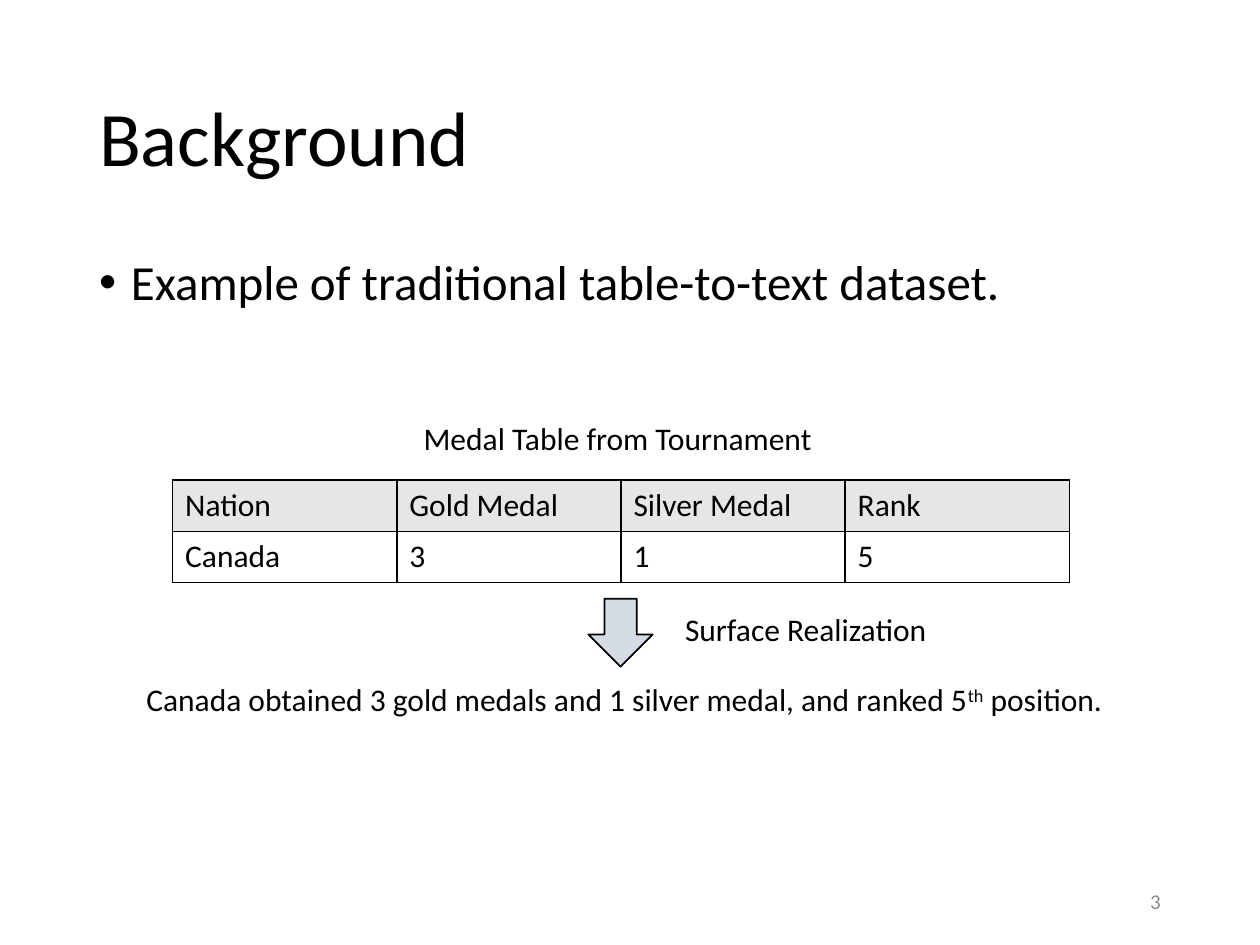
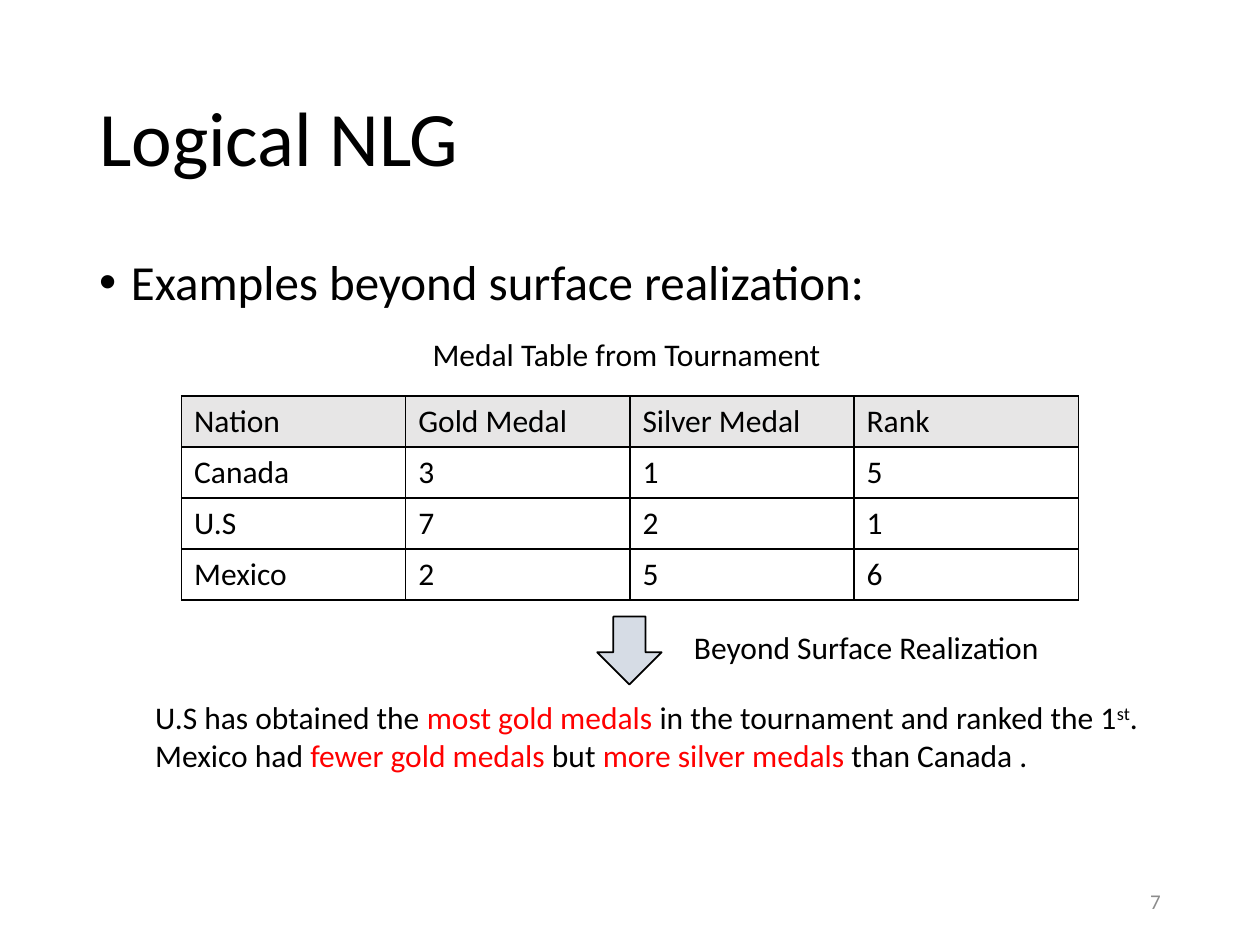
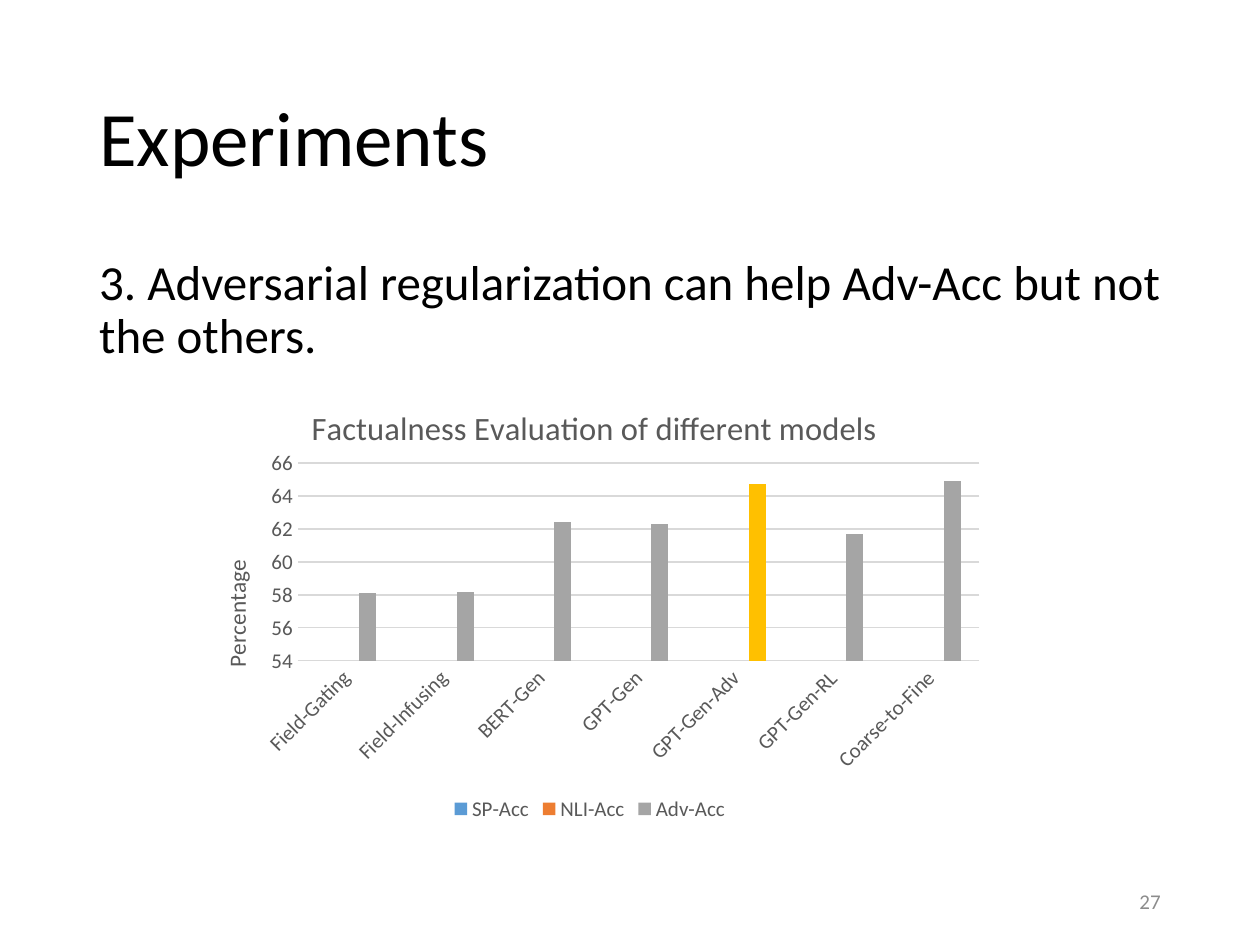
from pptx import Presentation
from pptx.chart.data import CategoryChartData
from pptx.dml.color import RGBColor
from pptx.enum.chart import XL_CHART_TYPE, XL_LEGEND_POSITION, XL_TICK_MARK
from pptx.enum.shapes import MSO_SHAPE
from pptx.enum.text import MSO_ANCHOR, MSO_AUTO_SIZE, PP_ALIGN
from pptx.oxml import parse_xml
from pptx.oxml.ns import nsdecls
from pptx.util import Cm, Pt

BLACK = RGBColor(0x00, 0x00, 0x00)
RED = RGBColor(0xFF, 0x00, 0x00)
PALE = RGBColor(0xE7, 0xE6, 0xE6)
STEEL = RGBColor(0xD6, 0xDC, 0xE5)
MUTED = RGBColor(0x8C, 0x8C, 0x8C)
SLATE = RGBColor(0x59, 0x59, 0x59)
RULE = RGBColor(0xD9, 0xD9, 0xD9)
BLUE = RGBColor(0x5B, 0x9B, 0xD5)
ORANGE = RGBColor(0xED, 0x7D, 0x31)
GREY = RGBColor(0xA5, 0xA5, 0xA5)
GOLD = RGBColor(0xFF, 0xC0, 0x00)

PLAIN = {"name": "Calibri", "size": Pt(18), "bold": False, "color": BLACK}
TITLE = PLAIN | {"size": Pt(44)}
BODY = PLAIN | {"size": Pt(28)}
NUMBER = PLAIN | {"size": Pt(12), "color": MUTED}
LABEL = PLAIN | {"size": Pt(12), "color": SLATE}
HOT = {"color": RED}
RAISED = {"raised": True}

COL, ROW = 4.52, 1.03
HEAD = ("Nation", "Gold Medal", "Silver Medal", "Rank")
CANADA = ("Canada", 3, 1, 5)
MODELS = ("Field-Gating", "Field-Infusing", "BERT-Gen", "GPT-Gen",
          "GPT-Gen-Adv", "GPT-Gen-RL", "Coarse-to-Fine")
SCORES = (58.1, 58.2, 62.4, 62.3, 64.7, 61.7, 64.9)
SERIES = (("SP-Acc", [None] * len(MODELS), BLUE),
          ("NLI-Acc", [None] * len(MODELS), ORANGE),
          ("Adv-Acc", SCORES, GREY))


def style(font, form):
    for key, value in form.items():
        if key == "color":
            font.color.rgb = value
        else:
            setattr(font, key, value)


def write(para, parts, form):
    """Add runs; a part is a string or a (string, changes) pair."""
    for part in [parts] if isinstance(parts, str) else parts:
        words, change = (part, {}) if isinstance(part, str) else part
        run = para.add_run()
        run.text = words
        look = form | change
        if look.pop("raised", False):
            run._r.get_or_add_rPr().set("baseline", "30000")
        style(run.font, look)


def add_text(slide, box, lines, form=PLAIN, wrap=False, **frame):
    area = slide.shapes.add_textbox(*map(Cm, box)).text_frame
    area.word_wrap = wrap
    area.auto_size = MSO_AUTO_SIZE.NONE if wrap else MSO_AUTO_SIZE.SHAPE_TO_FIT_TEXT
    for key, value in frame.items():
        setattr(area, key, value)
    for i, parts in enumerate(lines):
        para = area.add_paragraph() if i else area.paragraphs[0]
        write(para, parts, form)
    return area.paragraphs[0]


def add_page(deck, title, body, number, bullet=True):
    slide = deck.slides.add_slide(deck.slide_layouts[6])
    middle = {"wrap": True, "vertical_anchor": MSO_ANCHOR.MIDDLE}
    head = add_text(slide, (1.75, 1.02, 21.9, 3.68), [title], TITLE, **middle)
    para = add_text(slide, (1.75, 5.08, 21.9, 12.09), [body], BODY, True)
    head.line_spacing = para.line_spacing = 0.9
    if bullet:
        props = para._p.get_or_add_pPr()
        props.set("marL", str(Cm(0.64)))
        props.set("indent", str(-Cm(0.64)))
        props.append(parse_xml(f'<a:buFont {nsdecls("a")} typeface="Arial"/>'))
        props.append(parse_xml(f'<a:buChar {nsdecls("a")} char="•"/>'))
    foot = add_text(slide, (17.93, 17.65, 5.72, 1.02), [str(number)], NUMBER, **middle)
    foot.alignment = PP_ALIGN.RIGHT
    return slide


def edge(cell):
    for side in "LRTB":
        cell._tc.get_or_add_tcPr().append(parse_xml(
            f'<a:ln{side} {nsdecls("a")} w="{Pt(1)}"><a:solidFill>'
            f'<a:srgbClr val="{BLACK}"/></a:solidFill></a:ln{side}>'))


def add_grid(slide, left, top, rows):
    size = len(rows), len(HEAD)
    grid = slide.shapes.add_table(
        *size, Cm(left), Cm(top), Cm(COL * size[1]), Cm(ROW * size[0])).table
    grid.first_row = grid.horz_banding = False
    for i, row in enumerate(rows):
        for j, value in enumerate(row):
            cell = grid.cell(i, j)
            edge(cell)
            if i:
                cell.fill.background()
            else:
                cell.fill.solid()
                cell.fill.fore_color.rgb = PALE
            write(cell.text_frame.paragraphs[0], str(value), PLAIN)


def add_example(slide, left, top, rows, label, wide, lines, span):
    """Caption, medal table, arrow with its label, and the sentences below."""
    add_text(slide, (left + 4.81, top, 8.43, 1.02), ["Medal Table from Tournament"])
    add_grid(slide, left, top + 1.35, rows)
    base = top + 1.35 + ROW * len(rows)
    arrow = slide.shapes.add_shape(
        MSO_SHAPE.DOWN_ARROW, Cm(left + 8.38), Cm(base + 0.33), Cm(1.3), Cm(1.37))
    arrow.shadow.inherit = False
    arrow.fill.solid()
    arrow.fill.fore_color.rgb = STEEL
    arrow.line.color.rgb = BLACK
    arrow.line.width = Pt(1)
    add_text(slide, (left + 10.08, base + 0.43, wide, 1.02), [label])
    add_text(slide, (left - 0.78, base + 1.85, span, 0.23 + 0.79 * len(lines)), lines)


def place(part, x, y, size=None):
    """Fix a chart part at fractions of the chart's box."""
    for old in part.xpath("c:layout"):
        part.remove(old)
    marks = [("xMode", "edge"), ("yMode", "edge"), ("x", x), ("y", y)]
    if size:
        marks = [("layoutTarget", "inner"), *marks, ("w", size[0]), ("h", size[1])]
    inner = "".join(f'<c:{tag} val="{value}"/>' for tag, value in marks)
    layout = parse_xml(f'<c:layout {nsdecls("c")}><c:manualLayout>{inner}'
                       '</c:manualLayout></c:layout>')
    text = part.xpath("c:tx")
    if text:
        text[0].addnext(layout)
    else:
        part.insert(0, layout)


def add_title(owner, words, size, x, y):
    title = owner.chart_title if hasattr(owner, "chart_title") else owner.axis_title
    write(title.text_frame.paragraphs[0], words, LABEL | {"size": Pt(size)})
    place(title._element, x, y)


def add_bars(slide, box):
    data = CategoryChartData()
    data.categories = MODELS
    for name, values, _ in SERIES:
        data.add_series(name, values)
    chart = slide.shapes.add_chart(
        XL_CHART_TYPE.COLUMN_CLUSTERED, *map(Cm, box), data).chart
    style(chart.font, LABEL)
    add_title(chart, "Factualness Evaluation of different models", 18.6, 0.15, 0.07)
    place(chart._chartSpace.xpath("c:chart/c:plotArea")[0], 0.14, 0.21, (0.84, 0.43))

    plot = chart.plots[0]
    for key, value in {"gap_width": 219, "overlap": -27, "vary_by_categories": False}.items():
        setattr(plot, key, value)
    for series, (_, _, color) in zip(plot.series, SERIES):
        series.format.fill.solid()
        series.format.fill.fore_color.rgb = color
    best = plot.series[2].points[MODELS.index("GPT-Gen-Adv")].format.fill
    best.solid()
    best.fore_color.rgb = GOLD

    names, scale = chart.category_axis, chart.value_axis
    for axis in (names, scale):
        axis.major_tick_mark = axis.minor_tick_mark = XL_TICK_MARK.NONE
        style(axis.tick_labels.font, LABEL)
    names._element.xpath("c:txPr/a:bodyPr")[0].set("rot", "-2700000")
    for key, value in {"minimum_scale": 54, "maximum_scale": 66, "major_unit": 2}.items():
        setattr(scale, key, value)
    scale.format.line.fill.background()
    for line in (names.format.line, scale.major_gridlines.format.line):
        line.color.rgb = RULE
        line.width = Pt(0.75)
    add_title(scale, "Percentage", 13.3, 0.04, 0.41)
    scale.axis_title._element.xpath("c:tx/c:rich/a:bodyPr")[0].set("rot", "-5400000")

    chart.has_legend = True
    chart.legend.position = XL_LEGEND_POSITION.BOTTOM
    chart.legend.include_in_layout = False
    style(chart.legend.font, LABEL)


def main():
    deck = Presentation()
    deck.slide_width, deck.slide_height = Cm(25.4), Cm(19.05)

    slide = add_page(deck, "Background", "Example of traditional table-to-text dataset.", 3)
    add_example(
        slide, 3.48, 8.33, [HEAD, CANADA], "Surface Realization", 5.44,
        [["Canada obtained 3 gold medals and 1 silver medal, and ranked 5",
          ("th", RAISED), " position."]], 19.81)

    slide = add_page(deck, "Logical NLG", "Examples beyond surface realization:", 7)
    add_example(
        slide, 3.66, 6.63, [HEAD, CANADA, ("U.S", 7, 2, 1), ("Mexico", 2, 5, 6)],
        "Beyond Surface Realization", 7.49,
        [["U.S has obtained the ", ("most gold medals ", HOT),
          "in the tournament and ranked the 1", ("st", RAISED), "."],
         ["Mexico had ", ("fewer gold medals ", HOT), "but ",
          ("more silver medals", HOT), " than Canada ."]], 20.47)

    slide = add_page(
        deck, "Experiments",
        "3. Adversarial regularization can help Adv-Acc but not the others.", 27, False)
    add_bars(slide, (3.71, 7.39, 16.36, 9.27))
    deck.save("out.pptx")


if __name__ == "__main__":
    main()
